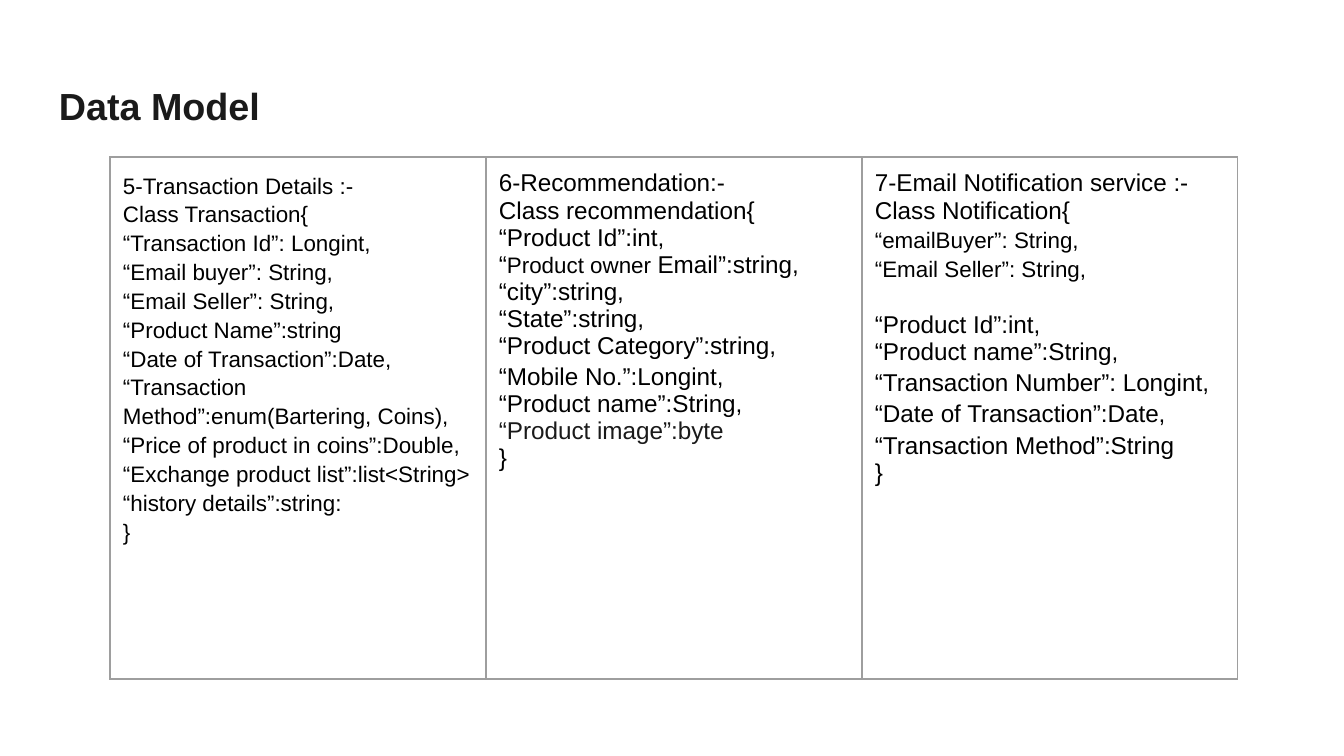
from lxml.etree import fromstring
from pptx import Presentation
from pptx.dml.color import RGBColor
from pptx.enum.text import MSO_ANCHOR, PP_ALIGN
from pptx.util import Emu, Pt

EMU_PER_PX = 914400 / 134.4
BLACK = RGBColor(0x00, 0x00, 0x00)
CHARCOAL = RGBColor(0x1A, 0x1A, 0x1A)
GRAY = RGBColor(0x9E, 0x9E, 0x9E)
FONT = "Arial"
INSET = 13
NAMESPACE = "http://schemas.openxmlformats.org/drawingml/2006/main"


def px(length):
    return Emu(round(length * EMU_PER_PX))


def add_run(paragraph, text, size, color=BLACK, bold=False):
    run = paragraph.add_run()
    run.text = text
    run.font.name = FONT
    run.font.size = Pt(size)
    run.font.color.rgb = color
    run.font.bold = bold


presentation = Presentation()
presentation.slide_width = px(1344)
presentation.slide_height = px(756)
slide = presentation.slides.add_slide(presentation.slide_layouts[5])

# Title
title = slide.shapes.title
title.left, title.top, title.width, title.height = px(46), px(66), px(1253), px(85)
frame = title.text_frame
frame.word_wrap = True
frame.vertical_anchor = MSO_ANCHOR.TOP
frame.margin_left = frame.margin_right = frame.margin_bottom = px(INSET)
frame.margin_top = px(17)
frame.paragraphs[0].alignment = PP_ALIGN.LEFT
add_run(frame.paragraphs[0], "Data Model", 20.2, CHARCOAL, True)

# Each line: line spacing, space before in points, runs of (text, size, color)
transaction_lines = [
    (1.15, 0, [(text, 12, BLACK)])
    for text in (
        "5-Transaction Details :-",
        "Class Transaction{",
        "“Transaction Id”: Longint,",
        "“Email buyer”: String,",
        "“Email Seller”: String,",
        "“Product Name”:string",
        "“Date of Transaction”:Date,",
        "“Transaction Method”:enum(Bartering, Coins),",
        "“Price of product in coins”:Double,",
        "“Exchange product list”:list<String>",
        "“history details”:string:",
        "}",
    )
]
recommendation_lines = [
    (1, 0, [("6-Recommendation:-", 13, BLACK)]),
    (1, 0, [("Class recommendation{", 13, BLACK)]),
    (1, 0, [("“Product Id”:int,", 13, BLACK)]),
    (1, 0, [("“", 13, BLACK), ("Product owner ", 12, BLACK), ("Email”:string,", 13, BLACK)]),
    (1, 0, [("“city”:string,", 13, BLACK)]),
    (1, 0, [("“State”:string,", 13, BLACK)]),
    (1, 0, [("“Product Category”:string,", 13, BLACK)]),
    (1.15, 0, [("“Mobile No.”:Longint,", 13, BLACK)]),
    (1, 0, [("“Product name”:String,", 13, BLACK)]),
    (1, 0, [("“Product image”:byte", 13, CHARCOAL)]),
    (1, 0, [("}", 13, BLACK)]),
]
notification_lines = [
    (1, 0, [("7-Email Notification service :-", 13, BLACK)]),
    (1, 0, [("Class Notification{", 13, BLACK)]),
    (1.15, 0, [("“emailBuyer”: String,", 12, BLACK)]),
    (1.15, 0, [("“Email Seller”: String,", 12, BLACK)]),
    (1, 16, [("“Product Id”:int,", 13, BLACK)]),
    (1, 0, [("“Product name”:String,", 13, BLACK)]),
    (1.15, 0, [("“Transaction Number”: Longint,", 13, BLACK)]),
    (1.15, 0, [("“Date of Transaction”:Date,", 13, BLACK)]),
    (1.15, 0, [("“Transaction Method”:String", 13, BLACK)]),
    (1, 0, [("}", 13, BLACK)]),
]
classes = [transaction_lines, recommendation_lines, notification_lines]

# Table: one tall merged cell for each class
row_heights = [56, 466]
column_width = 376
table = slide.shapes.add_table(
    len(row_heights), len(classes), px(110), px(157),
    px(column_width * len(classes)), px(sum(row_heights)),
).table
table.first_row = False
table.horz_banding = False
for row, height in zip(table.rows, row_heights):
    row.height = px(height)
for column in table.columns:
    column.width = px(column_width)

for cell in table.iter_cells():
    cell.margin_left = cell.margin_right = px(INSET)
    cell.margin_top = cell.margin_bottom = px(INSET)
    cell.fill.background()
    properties = cell._tc.get_or_add_tcPr()
    for index, side in enumerate(("lnL", "lnR", "lnT", "lnB")):
        properties.insert(index, fromstring(
            f'<a:{side} xmlns:a="{NAMESPACE}" w="{Pt(0.75)}"><a:solidFill>'
            f'<a:srgbClr val="{GRAY}"/></a:solidFill></a:{side}>'
        ))

for index, lines in enumerate(classes):
    cell = table.cell(0, index)
    cell.merge(table.cell(1, index))
    cell.vertical_anchor = MSO_ANCHOR.TOP
    for number, (spacing, space_before, runs) in enumerate(lines):
        frame = cell.text_frame
        paragraph = frame.add_paragraph() if number else frame.paragraphs[0]
        paragraph.line_spacing = float(spacing)
        paragraph.space_before = Pt(space_before)
        for text, size, color in runs:
            add_run(paragraph, text, size, color)

presentation.save("out.pptx")
